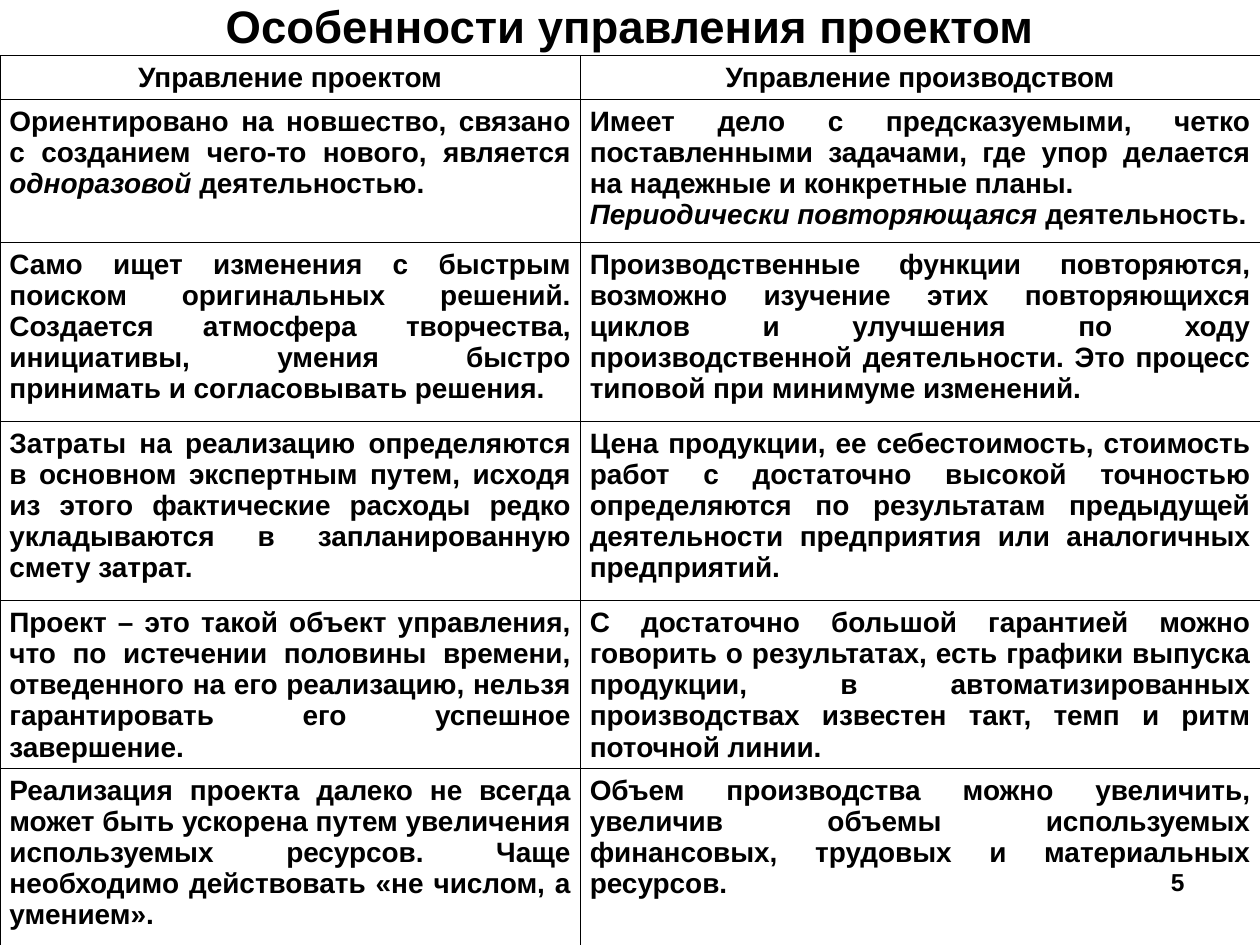
from dataclasses import dataclass

from lxml.etree import SubElement
from pptx import Presentation
from pptx.dml.color import RGBColor
from pptx.enum.text import MSO_ANCHOR, MSO_AUTO_SIZE, PP_ALIGN
from pptx.oxml.ns import qn
from pptx.util import Cm, Pt


@dataclass(frozen=True)
class Theme:
    font: str = "Arial"
    ink: str = "000000"
    paper: str = "FFFFFF"
    title_size: float = 26
    table_size: float = 16
    table_leading: float = 17.8
    number_size: float = 14
    border_width: float = 0.45


@dataclass(frozen=True)
class Contrast:
    """One table row; *asterisks* enclose italic words, a newline starts a paragraph."""
    project: str
    production: str
    height: float
    align: PP_ALIGN = PP_ALIGN.JUSTIFY


THEME = Theme()
COLUMN_WIDTHS = (11.7, 13.7)
TABLE_TOP = 1.12

CONTRASTS = [
    Contrast("Управление проектом", "Управление производством", 0.89, PP_ALIGN.CENTER),
    Contrast(
        "Ориентировано на новшество, связано с созданием чего-то нового, "
        "является *одноразовой* деятельностью.",
        "Имеет дело с предсказуемыми, четко поставленными задачами, где упор "
        "делается на надежные и конкретные планы.\n"
        "*Периодически повторяющаяся *деятельность.",
        2.88),
    Contrast(
        "Само ищет изменения с быстрым поиском оригинальных решений. Создается "
        "атмосфера творчества, инициативы, умения быстро принимать и "
        "согласовывать решения.",
        "Производственные функции повторяются, возможно изучение этих "
        "повторяющихся циклов и улучшения по ходу производственной "
        "деятельности. Это процесс типовой при минимуме изменений.",
        3.61),
    Contrast(
        "Затраты на реализацию определяются в основном экспертным путем, исходя "
        "из этого фактические расходы редко укладываются в запланированную "
        "смету затрат.",
        "Цена продукции, ее себестоимость, стоимость работ с достаточно высокой "
        "точностью определяются по результатам предыдущей деятельности "
        "предприятия или аналогичных предприятий.",
        3.61),
    Contrast(
        "Проект – это такой объект управления, что по истечении половины "
        "времени, отведенного на его реализацию, нельзя гарантировать его "
        "успешное завершение.",
        "С достаточно большой гарантией можно говорить о результатах, есть "
        "графики выпуска продукции, в автоматизированных производствах известен "
        "такт, темп и ритм поточной линии.",
        3.38),
    Contrast(
        "Реализация проекта далеко не всегда может быть ускорена путем "
        "увеличения используемых ресурсов. Чаще необходимо действовать "
        "«не числом, а умением».",
        "Объем производства можно увеличить, увеличив объемы используемых "
        "финансовых, трудовых и материальных ресурсов.",
        3.61),
]


def write(frame, text: str, size: float, align: PP_ALIGN) -> None:
    """Fill a text frame with bold text, turning *marked* words italic."""
    frame.text = text.replace("*", "")
    for paragraph, line in zip(frame.paragraphs, text.split("\n")):
        paragraph.alignment = align
        if "*" in line:
            paragraph.clear()
            for position, part in enumerate(line.split("*")):
                if part:
                    run = paragraph.add_run()
                    run.text = part
                    run.font.italic = position % 2 == 1
        for run in paragraph.runs:
            run.font.name = THEME.font
            run.font.size = Pt(size)
            run.font.bold = True
            run.font.color.rgb = RGBColor.from_string(THEME.ink)


def set_borders(cell) -> None:
    properties = cell._tc.get_or_add_tcPr()
    for position, side in enumerate(("lnL", "lnR", "lnT", "lnB")):
        line = SubElement(properties, qn(f"a:{side}"), w=str(Pt(THEME.border_width)))
        fill = SubElement(line, qn("a:solidFill"))
        SubElement(fill, qn("a:srgbClr"), val=THEME.ink)
        properties.insert(position, line)


def add_title(slide, text: str) -> None:
    title = slide.shapes.title
    title.left, title.top, title.width, title.height = Cm(0), Cm(0), Cm(25.4), Cm(1.32)
    frame = title.text_frame
    frame.auto_size = MSO_AUTO_SIZE.NONE
    frame.vertical_anchor = MSO_ANCHOR.BOTTOM
    frame.margin_bottom = Cm(0.25)
    write(frame, text, THEME.title_size, PP_ALIGN.CENTER)


def add_page_number(slide, number: str) -> None:
    box = slide.shapes.add_textbox(Cm(18.21), Cm(17.35), Cm(5.92), Cm(1.32))
    box.text_frame.word_wrap = True
    write(box.text_frame, number, THEME.number_size, PP_ALIGN.RIGHT)


def fill_cell(cell, text: str, align: PP_ALIGN) -> None:
    cell.margin_left = cell.margin_right = Cm(0.19)
    cell.margin_top, cell.margin_bottom = Cm(0.13), Cm(0)
    cell.fill.background()
    set_borders(cell)
    write(cell.text_frame, text, THEME.table_size, align)
    for paragraph in cell.text_frame.paragraphs:
        paragraph.line_spacing = Pt(THEME.table_leading)


def add_comparison(slide, contrasts: list[Contrast]) -> None:
    table = slide.shapes.add_table(
        len(contrasts), len(COLUMN_WIDTHS), Cm(0), Cm(TABLE_TOP),
        Cm(sum(COLUMN_WIDTHS)), Cm(sum(item.height for item in contrasts))).table
    table.first_row = False
    table.horz_banding = False
    for column, width in zip(table.columns, COLUMN_WIDTHS):
        column.width = Cm(width)
    for row, contrast in zip(table.rows, contrasts):
        row.height = Cm(contrast.height)
        for cell, text in zip(row.cells, (contrast.project, contrast.production)):
            fill_cell(cell, text, contrast.align)


def main() -> None:
    presentation = Presentation()
    presentation.slide_width, presentation.slide_height = Cm(25.4), Cm(19.05)
    slide = presentation.slides.add_slide(presentation.slide_layouts.get_by_name("Title Only"))
    slide.background.fill.solid()
    slide.background.fill.fore_color.rgb = RGBColor.from_string(THEME.paper)
    add_title(slide, "Особенности управления проектом")
    add_page_number(slide, "5")
    add_comparison(slide, CONTRASTS)
    presentation.save("out.pptx")


if __name__ == "__main__":
    main()
